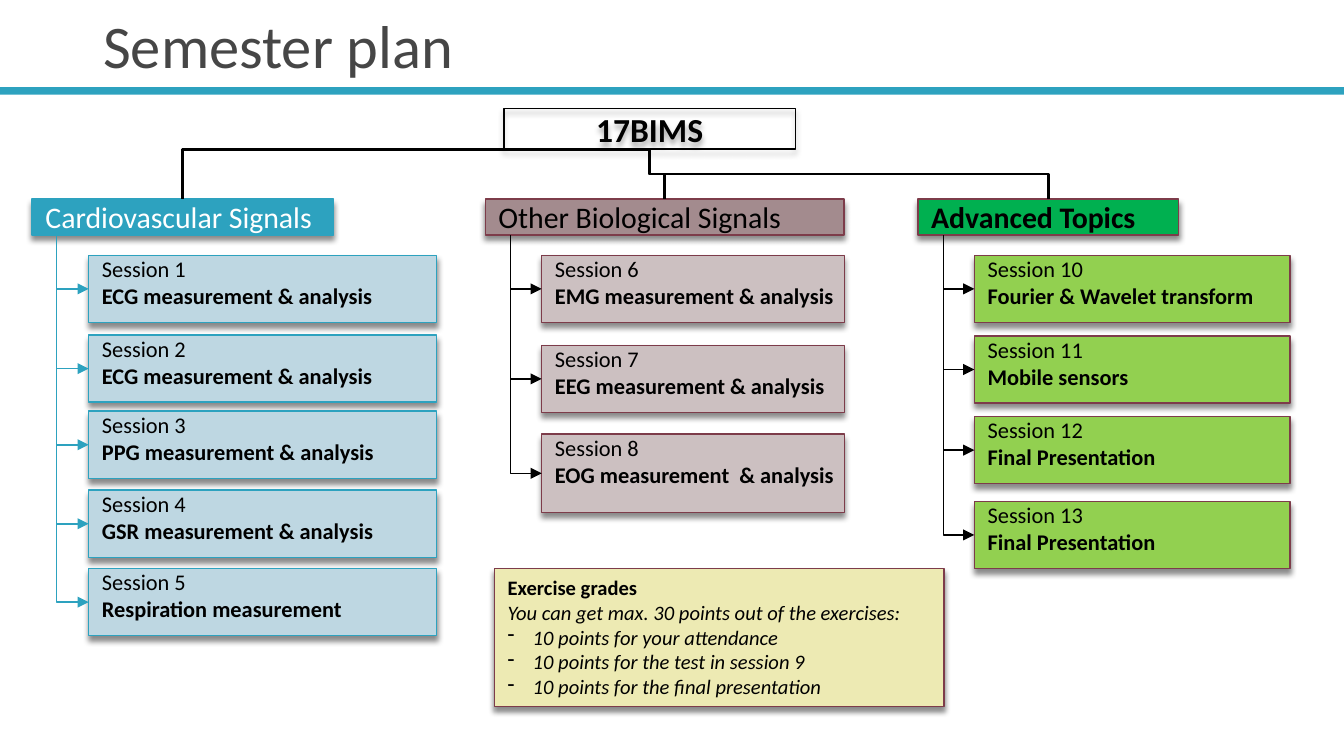
from pptx import Presentation
from pptx.dml.color import RGBColor
from pptx.enum.shapes import MSO_CONNECTOR as CONN, MSO_SHAPE as SHAPE
from pptx.enum.text import MSO_ANCHOR as ANCHOR, MSO_AUTO_SIZE as AUTO, PP_ALIGN as ALIGN
from pptx.oxml import parse_xml
from pptx.oxml.ns import nsdecls, qn
from pptx.util import Pt

# Content
TITLE = "Semester plan"
ROOT = "17BIMS"
COLUMNS = [
    dict(name="Cardiovascular Signals", head=(17.3, 161.3), head_fill="2DA2BF",
         head_font=dict(color="FFFFFF"), wrap=False, line="2DA2BF", arrow="2DA2BF",
         fill="BED7E2", trunk=30.2, left=47.5, width=186.5, reach=78.5,
         sessions=[(1, "ECG measurement & analysis", 136.8, 36),
                   (2, "ECG measurement & analysis", 179.5, 36),
                   (3, "PPG measurement & analysis", 220.3, 36),
                   (4, "GSR measurement & analysis", 262.6, 36),
                   (5, "Respiration measurement", 304.6, 36)]),
    dict(name="Other Biological Signals", head=(260, 192.2), head_fill="A38B8E",
         head_font={}, wrap=True, line="7D3C4A", arrow="000000",
         fill="CCC0C1", trunk=273.6, left=290.2, width=162.2, reach=80,
         sessions=[(6, "EMG measurement & analysis", 136.8, 36),
                   (7, "EEG measurement & analysis", 185, 36),
                   (8, "EOG measurement  & analysis", 232.6, 42)]),
    dict(name="Advanced Topics", head=(491.8, 139.7), head_fill="00B050",
         head_font=dict(bold=True), wrap=True, line="7D3C4A", arrow="000000",
         fill="92D050", trunk=505.4, left=522, width=169.2, reach=72,
         sessions=[(10, "Fourier & Wavelet transform", 136.8, 36),
                   (11, "Mobile sensors", 180, 36),
                   (12, "Final Presentation", 223.2, 36),
                   (13, "Final Presentation", 268.6, 36)]),
]
GRADES = "Exercise grades"
GRADES_INTRO = "You can get max. 30 points out of the exercises:"
GRADE_ITEMS = ["10 points for your attendance",
               "10 points for the test in session 9",
               "10 points for the final presentation"]

# Layout
ROOT_BOX = (270, 58.3, 156.2, 21.6)
HEAD_TOP, HEAD_H = 106.6, 19.4
HEAD_BOTTOM = HEAD_TOP + HEAD_H
GRADES_BOX = (264.8, 304.6, 240.8, 74)
THIN = 0.79


def rgb(value):
    return RGBColor.from_string(value)


def add_shadow(s, alpha, distance):
    s.element.spPr.append(parse_xml(
        f'<a:effectLst {nsdecls("a")}><a:outerShdw blurRad="{Pt(3)}" dist="{Pt(distance)}" '
        f'dir="5400000" rotWithShape="0"><a:srgbClr val="000000"><a:alpha val="{alpha * 1000}"/>'
        '</a:srgbClr></a:outerShdw></a:effectLst>'))


def write(s, lines, size, margin=0, wrap=True, grow=False, align=ALIGN.LEFT, anchor=ANCHOR.TOP):
    """Each line is (text, dict of font values)."""
    tf = s.text_frame
    frame = dict(margin_top=Pt(margin), margin_bottom=Pt(margin), word_wrap=wrap,
                 vertical_anchor=anchor,
                 auto_size=AUTO.SHAPE_TO_FIT_TEXT if grow else AUTO.NONE)
    for key, value in frame.items():
        setattr(tf, key, value)
    for i, (text, style) in enumerate(lines):
        p = tf.add_paragraph() if i else tf.paragraphs[0]
        p.alignment = align
        r = p.add_run()
        r.text = text
        font = dict(name="Calibri", size=Pt(size), color="000000") | style
        r.font.color.rgb = rgb(font.pop("color"))
        for key, value in font.items():
            setattr(r.font, key, value)
    return tf


def add_box(box, fill, line, width=THIN, shadow=(45, 2.4)):
    s = shapes.add_shape(SHAPE.RECTANGLE, *map(Pt, box))
    if fill:
        s.fill.solid()
        s.fill.fore_color.rgb = rgb(fill)
    else:
        s.fill.background()
    s.line.color.rgb = rgb(line)
    s.line.width = Pt(width)
    add_shadow(s, *shadow)
    return s


def add_elbow(x1, y1, x2, y2, color, width, bend="bentConnector2", down=True, arrow=False):
    """Elbow that leaves its start downwards, or sideways if down is False."""
    ends = (x1, y1, x2, y2)
    if down:  # frame before its quarter turn about the centre
        cx, cy = (x1 + x2) / 2, (y1 + y2) / 2
        half_w, half_h = (y2 - y1) / 2, (x2 - x1) / 2
        ends = (cx - half_w, cy - half_h, cx + half_w, cy + half_h)
    s = shapes.add_connector(CONN.ELBOW, *map(Pt, ends))
    s.line.color.rgb = rgb(color)
    s.line.width = Pt(width)
    sp = s.element.spPr
    sp.find(qn("a:prstGeom")).set("prst", bend)
    if down:
        xfrm = sp.find(qn("a:xfrm"))
        xfrm.set("rot", "16200000")
        xfrm.set("flipH", "1")
    if arrow:
        sp.find(qn("a:ln")).append(parse_xml(f'<a:tailEnd {nsdecls("a")} type="triangle"/>'))
    sp.append(parse_xml(f'<a:effectLst {nsdecls("a")}/>'))


prs = Presentation()
prs.slide_width, prs.slide_height = Pt(720), Pt(405)
shapes = prs.slides.add_slide(prs.slide_layouts[6]).shapes

# Title and rule
bar = shapes.add_shape(SHAPE.RECTANGLE, 0, Pt(46.7), Pt(720), Pt(4))
bar.shadow.inherit = False
bar.fill.solid()
bar.fill.fore_color.rgb = rgb("2DA2BF")
bar.line.fill.background()
title = shapes.add_textbox(Pt(48.2), Pt(9.4), Pt(642.2), Pt(37.4))
write(title, [(TITLE, dict(color="464646"))], 32.4, margin=3.6, anchor=ANCHOR.BOTTOM)

# Root of the tree
root = add_box(ROOT_BOX, None, "000000", 0.75, shadow=(35, 2))
write(root, [(ROOT, dict(bold=True))], 18, grow=True, align=ALIGN.CENTER)
root_x = ROOT_BOX[0] + ROOT_BOX[2] / 2
root_bottom = ROOT_BOX[1] + ROOT_BOX[3]

for col in COLUMNS:
    # Column heading and its branch from the root
    left, width = col["head"]
    head = add_box((left, HEAD_TOP, width, HEAD_H), col["head_fill"], col["line"])
    write(head, [(col["name"], col["head_font"])], 16, wrap=col["wrap"], grow=True)
    head_x = left + width / 2
    to_right = head_x > root_x
    add_elbow(root_x, root_bottom, head_x, HEAD_TOP, "000000", 1.5,
              "bentConnector3" if to_right else "bentConnector2", down=to_right)

    # Sessions with their arrows
    for number, topic, top, height in col["sessions"]:
        s = add_box((col["left"], top, col["width"], height), col["fill"], col["line"])
        write(s, [(f"Session {number}", {}), (topic, dict(bold=True))], 12, wrap=False)
        middle = top + height / 2
        add_elbow(col["trunk"], max(HEAD_BOTTOM, middle - col["reach"]), col["left"], middle,
                  col["arrow"], THIN, arrow=True)

# Exercise grades
italic = dict(italic=True)
grades = add_box(GRADES_BOX, "EDEAB3", "7D3C4A")
tf = write(grades, [(GRADES, dict(bold=True)), (GRADES_INTRO, italic)]
           + [(item, italic) for item in GRADE_ITEMS], 11, margin=3.6, grow=True)
for p in tf.paragraphs[2:]:
    pPr = p._p.get_or_add_pPr()
    pPr.set("marL", str(Pt(13.5)))
    pPr.set("indent", str(-Pt(13.5)))
    pPr.append(parse_xml(f'<a:buChar {nsdecls("a")} char="-"/>'))

prs.save("out.pptx")
